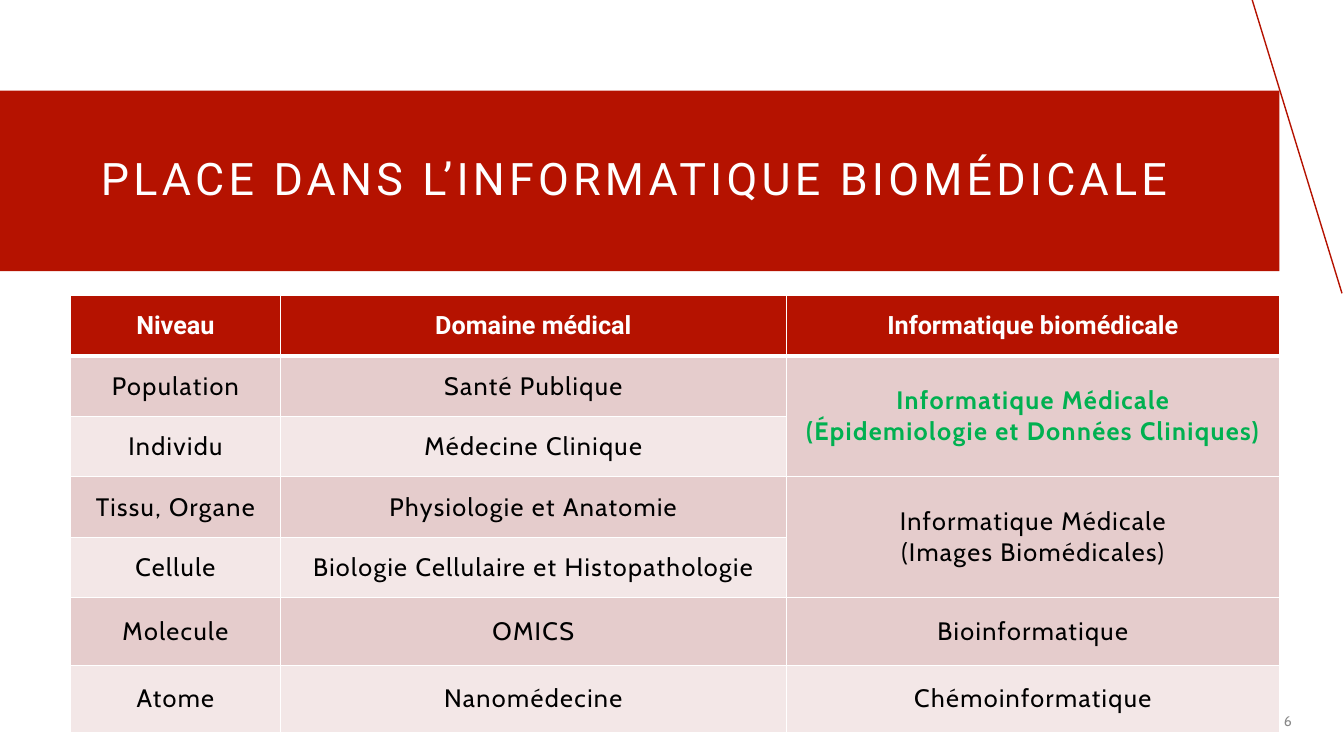
from lxml import etree
from pptx import Presentation
from pptx import util as u
from pptx.dml import color
from pptx.enum import shapes, text
from pptx.oxml import ns

RED, WHITE, BLACK, GREEN, GREY = "B51200", "FFFFFF", "000000", "00B050", "898989"
BANDS = ["E5CCCC", "F3E7E7"]
COLUMN_WIDTHS = [2.08, 5.02, 4.89]
ROW_HEIGHTS = [0.6] * 5 + [0.67] * 2
ROWS = [
    ["Niveau", "Domaine médical", "Informatique biomédicale"],
    ["Population", "Santé Publique",
     "Informatique Médicale\n(Épidemiologie et Données Cliniques)"],
    ["Individu", "Médecine Clinique", ""],
    ["Tissu, Organe", "Physiologie et Anatomie",
     "Informatique Médicale\n(Images Biomédicales)"],
    ["Cellule", "Biologie Cellulaire et Histopathologie", ""],
    ["Molecule", "OMICS", "Bioinformatique"],
    ["Atome", "Nanomédecine", "Chémoinformatique"],
]
MERGED_STARTS = [1, 3]
HIGHLIGHT = (1, 2)


def paint(target, hex_color):
    """Give a fill or line format a solid colour."""
    target.solid()
    target.fore_color.rgb = color.RGBColor.from_string(hex_color)


def format_text(tf, size, font, hex_color, align, bold=False, spacing=0):
    """Format every run of a text frame; spacing is in points."""
    for p in tf.paragraphs:
        p.alignment = align
        for r in p.runs:
            r.font.size = u.Pt(size)
            r.font.name = font
            r.font.bold = bold
            paint(r.font.fill, hex_color)
            if spacing:
                r._r.get_or_add_rPr().set("spc", str(spacing * 100))


def add_title(s):
    """Turn the title placeholder into the red band."""
    sp = s.shapes.title
    sp.left, sp.top = u.Inches(0), u.Inches(0.9)
    sp.width, sp.height = u.Inches(12.69), u.Inches(1.79)
    paint(sp.fill, RED)
    tf = sp.text_frame
    tf.text = "PLACE DANS L’INFORMATIQUE BIOMÉDICALE"
    tf.auto_size = text.MSO_AUTO_SIZE.NONE
    tf.vertical_anchor = text.MSO_ANCHOR.MIDDLE
    tf.margin_left = u.Inches(1)
    tf.paragraphs[0].line_spacing = 0.9
    format_text(tf, 32, "Roboto", WHITE, text.PP_ALIGN.LEFT, spacing=3)


def add_corner_line(s):
    """Draw the slanted line at the top right."""
    line = s.shapes.add_connector(
        shapes.MSO_CONNECTOR.STRAIGHT,
        u.Inches(12.42), u.Inches(0), u.Inches(13.31), u.Inches(2.91))
    paint(line.line.fill, RED)
    line.line.width = u.Pt(1)
    etree.SubElement(line._element.spPr, ns.qn("a:effectLst"))


def add_page_number(s, number):
    """Write the page number at the bottom right."""
    box = s.shapes.add_textbox(
        u.Inches(11.23), u.Inches(6.95), u.Inches(1.68), u.Inches(0.4))
    tf = box.text_frame
    tf.word_wrap = True
    tf.vertical_anchor = text.MSO_ANCHOR.MIDDLE
    tf.text = str(number)
    format_text(tf, 10, "Cabin", GREY, text.PP_ALIGN.RIGHT)


def set_borders(cell, bottom, top):
    """Draw white borders around a cell, widths in points."""
    tcPr = cell._tc.get_or_add_tcPr()
    for side, width in (("L", 1), ("R", 1), ("T", top), ("B", bottom)):
        ln = etree.SubElement(tcPr, ns.qn(f"a:ln{side}"), w=str(u.Pt(width)))
        fill = etree.SubElement(ln, ns.qn("a:solidFill"))
        etree.SubElement(fill, ns.qn("a:srgbClr"), val=WHITE)


def fill_cell(cell, row, col):
    """Write and format one table cell."""
    header, highlighted = row == 0, (row, col) == HIGHLIGHT
    set_borders(cell, 3 if header else 1, 3 if row == 1 else 1)
    paint(cell.fill, RED if header else BANDS[(row - 1) % 2])
    cell.vertical_anchor = text.MSO_ANCHOR.MIDDLE
    cell.text_frame.text = ROWS[row][col]
    format_text(
        cell.text_frame, 18, "Roboto" if header else "Cabin",
        WHITE if header else GREEN if highlighted else BLACK,
        text.PP_ALIGN.CENTER, header or highlighted, 0 if header else 1)


def add_levels_table(s):
    """Add the table of levels, medical domains and informatics fields."""
    table = s.shapes.add_table(
        len(ROWS), len(COLUMN_WIDTHS), u.Inches(0.7), u.Inches(2.93),
        u.Inches(sum(COLUMN_WIDTHS)), u.Inches(sum(ROW_HEIGHTS))).table
    for column, width in zip(table.columns, COLUMN_WIDTHS):
        column.width = u.Inches(width)
    for row, height in enumerate(ROW_HEIGHTS):
        table.rows[row].height = u.Inches(height)
        for col in range(len(COLUMN_WIDTHS)):
            fill_cell(table.cell(row, col), row, col)
    for row in MERGED_STARTS:
        table.cell(row, 2).merge(table.cell(row + 1, 2))


def main():
    """Build and save the slide."""
    prs = Presentation()
    prs.slide_width, prs.slide_height = u.Inches(13.33), u.Inches(7.5)
    s = prs.slides.add_slide(prs.slide_layouts[5])
    add_corner_line(s)
    add_title(s)
    add_page_number(s, 6)
    add_levels_table(s)
    prs.save("out.pptx")


if __name__ == "__main__":
    main()
